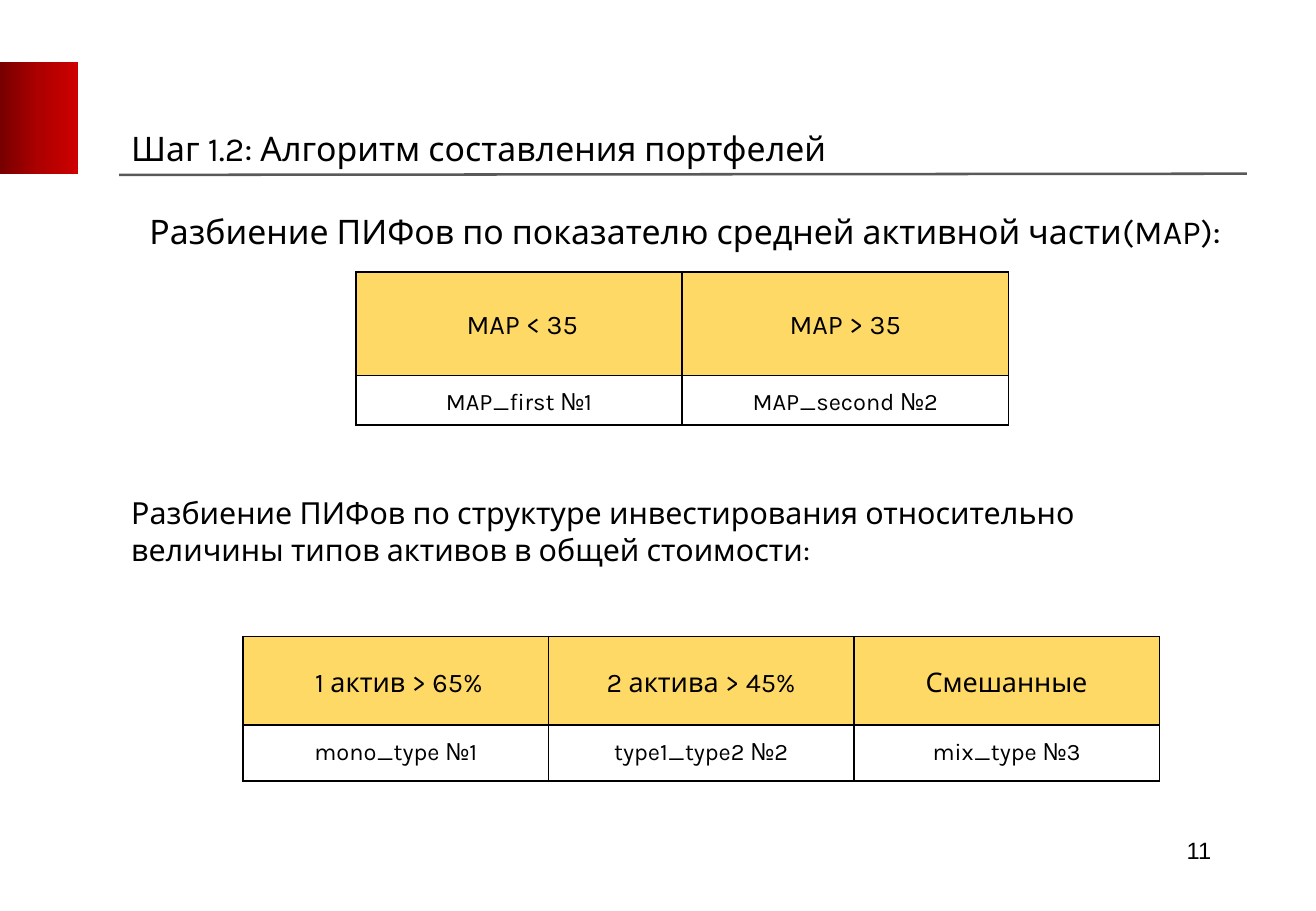
from copy import deepcopy

from lxml.etree import SubElement
from pptx import Presentation
from pptx.dml.color import RGBColor
from pptx.enum.shapes import MSO_CONNECTOR, MSO_SHAPE
from pptx.enum.text import MSO_ANCHOR, MSO_AUTO_SIZE, PP_ALIGN
from pptx.oxml.ns import qn
from pptx.util import Inches, Pt

WIDE, HIGH = Inches(10.83), Inches(7.5)
INK, GOLD, RULE = "000000", "FFD966", "595959"
REDS = ("770000", "AD0000", "CE0000")


def col(share):
    return round(WIDE * share / 100)


def row(share):
    return round(HIGH * share / 100)


def tint(code):
    return RGBColor.from_string(code)


def write(frame, text, size, align=PP_ALIGN.LEFT, gap=0, lead=1.0, face="Karla"):
    para = frame.paragraphs[0]
    para.text = text
    para.alignment = align
    para.space_before = Pt(gap)
    para.line_spacing = lead
    para.font.size = Pt(size)
    para.font.name = face
    para.font.color.rgb = tint(INK)


def label(slide, left, top, wide, high, text, size, **style):
    box = slide.shapes.add_textbox(col(left), row(top), col(wide), row(high))
    frame = box.text_frame
    frame.word_wrap = True
    frame.auto_size = MSO_AUTO_SIZE.SHAPE_TO_FIT_TEXT
    frame.margin_left = frame.margin_right = Inches(0.05)
    frame.margin_top = frame.margin_bottom = Inches(0.05)
    write(frame, text, size, **style)


def block(slide, left, top, wide, high):
    shape = slide.shapes.add_shape(
        MSO_SHAPE.RECTANGLE, col(left), row(top), col(wide), row(high))
    shape.shadow.inherit = False
    shape.line.fill.background()
    shape.fill.gradient()
    shape.fill.gradient_angle = 0
    stops = shape._element.spPr.find(".//" + qn("a:gsLst"))
    stops.insert(1, deepcopy(stops[0]))
    for place, (stop, code) in enumerate(zip(shape.fill.gradient_stops, REDS)):
        stop.position = place / 2
        stop.color.rgb = tint(code)


def rule(slide, left, top, right, low):
    line = slide.shapes.add_connector(
        MSO_CONNECTOR.STRAIGHT, col(left), row(top), col(right), row(low))
    line.line.color.rgb = tint(RULE)
    line.line.width = Pt(1.5)
    SubElement(line._element.spPr, qn("a:effectLst"))


def edge(cell):
    props = cell._tc.get_or_add_tcPr()
    for place, side in enumerate(("a:lnL", "a:lnR", "a:lnT", "a:lnB")):
        line = props.makeelement(qn(side), {"w": str(Pt(1))})
        fill = SubElement(line, qn("a:solidFill"))
        SubElement(fill, qn("a:srgbClr"), val=INK)
        props.insert(place, line)


def dress(cell, text, head):
    cell.margin_left = cell.margin_right = 0
    cell.margin_top = cell.margin_bottom = 0
    if head:
        cell.vertical_anchor = MSO_ANCHOR.MIDDLE
        cell.fill.solid()
        cell.fill.fore_color.rgb = tint(GOLD)
        write(cell.text_frame, text, 16, PP_ALIGN.CENTER, lead=1.15)
    else:
        cell.fill.background()
        write(cell.text_frame, text, 14, PP_ALIGN.CENTER, gap=6, lead=1.5)
    edge(cell)


def grid(slide, left, top, wide, highs, rows):
    count = len(rows[0])
    table = slide.shapes.add_table(
        len(rows), count, col(left), row(top), col(wide * count), row(sum(highs))).table
    table.first_row = table.horz_banding = False
    for part in table.columns:
        part.width = col(wide)
    for down, (high, texts) in enumerate(zip(highs, rows)):
        table.rows[down].height = row(high)
        for over, text in enumerate(texts):
            dress(table.cell(down, over), text, down == 0)


def main():
    deck = Presentation()
    deck.slide_width, deck.slide_height = WIDE, HIGH
    slide = deck.slides.add_slide(deck.slide_layouts[6])

    block(slide, 0, 6.8, 5.91, 12.27)
    label(slide, 9.51, 13.33, 84.76, 5.73,
          "Шаг 1.2: Алгоритм составления портфелей", 20, gap=12)
    rule(slide, 9.05, 19.2, 94.74, 19.07)
    label(slide, 88.5, 91.07, 4, 4.27, "11", 14,
          align=PP_ALIGN.RIGHT, face="Arial")
    label(slide, 9.51, 53.6, 84.76, 9.47,
          "Разбиение ПИФов по структуре инвестирования относительно "
          "величины типов активов в общей стоимости:", 18, gap=10)
    label(slide, 10.9, 22.53, 84.76, 5.73,
          "Разбиение ПИФов по показателю средней активной части(MAP):", 20, gap=12)
    grid(slide, 18.47, 69.87, 23.21, (9.73, 6.13), (
        (" 1 актив > 65%", "2 актива > 45%", "Смешанные"),
        ("mono_type №1", "type1_type2 №2", "mix_type №3")))
    grid(slide, 27.05, 29.87, 24.79, (11.33, 5.47), (
        (" MAP < 35", "MAP > 35"),
        ("MAP_first №1", "MAP_second №2")))
    deck.save("out.pptx")


if __name__ == "__main__":
    main()
